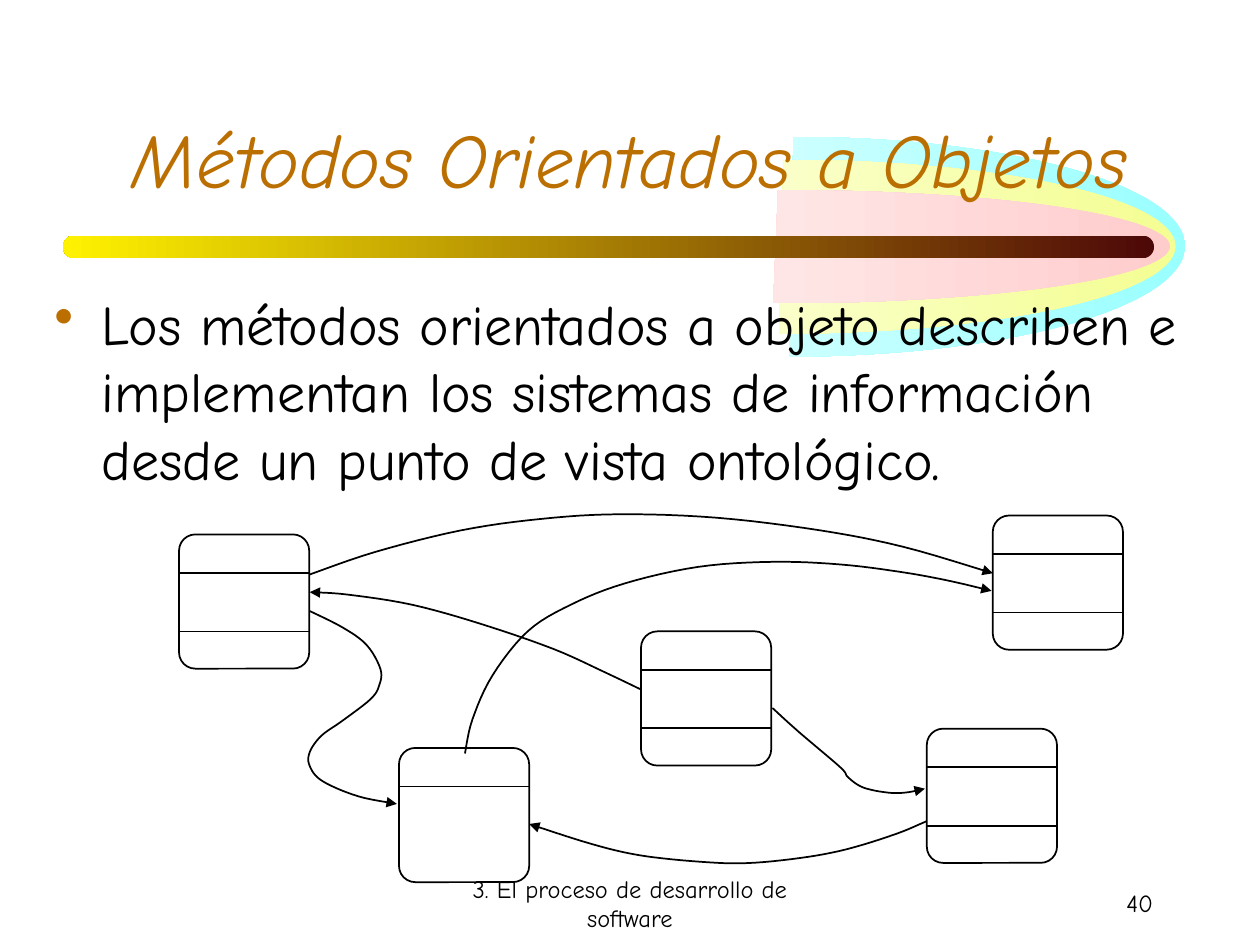
from dataclasses import dataclass
from math import cos, pi, sin

from lxml import etree
from pptx import Presentation
from pptx.dml.color import RGBColor
from pptx.enum.shapes import MSO_CONNECTOR, MSO_SHAPE
from pptx.enum.text import MSO_ANCHOR, PP_ALIGN
from pptx.oxml.ns import qn
from pptx.util import Pt

STRAIGHT = MSO_CONNECTOR.STRAIGHT
ROUNDED = MSO_SHAPE.ROUNDED_RECTANGLE
TOP, MIDDLE, BOTTOM = MSO_ANCHOR.TOP, MSO_ANCHOR.MIDDLE, MSO_ANCHOR.BOTTOM
LEFT, CENTER, RIGHT = PP_ALIGN.LEFT, PP_ALIGN.CENTER, PP_ALIGN.RIGHT

FONT = "Comic Neue"
COLORS = {
    "ink": "000000",
    "accent": "BA6F00",
    "cyan": "99FFFF",
    "cyan_pale": "CCFFFF",
    "yellow": "F4FE92",
    "yellow_pale": "FAFFC9",
    "pink": "FFCCCC",
    "pink_pale": "FFE6E6",
    "bar_dark": "4D0808",
    "bar_light": "FFF200",
}
BOX_WIDTH, BOX_HEIGHT = 74.4, 76.7
DIVIDERS = (22, 55.4)
SWOOSH_Y, SWOOSH_RADIUS = 141, 225.4
CURVE_STEPS = 6
ARC_STEPS = 60


@dataclass(frozen=True)
class Swoosh:
    x: float
    half_height: float
    color: str


@dataclass(frozen=True)
class ClassBox:
    left: float
    top: float
    dividers: tuple = DIVIDERS


@dataclass(frozen=True)
class Label:
    text: str
    left: float
    top: float
    width: float
    height: float
    size: float
    align: PP_ALIGN
    anchor: MSO_ANCHOR
    color: str = "ink"
    italic: bool = False
    bullet: bool = False


SWOOSHES = (
    Swoosh(452, 62.8, "cyan"),
    Swoosh(446.4, 49.7, "yellow"),
    Swoosh(443.2, 32.4, "pink"),
)

CLASS_BOXES = (
    ClassBox(102.3, 305.4),
    ClassBox(366.3, 360.8),
    ClassBox(228, 427.4, DIVIDERS[:1]),
    ClassBox(529.6, 416.4),
    ClassBox(567.3, 294.6),
)

MESSAGES = (
    ((177, 328.3), (214.6, 315.4), (263.5, 303.1), (308.9, 296.6), (354.2, 293.9),
     (409.7, 295.9), (468.7, 303.1), (516.2, 312.5), (567.4, 327.6)),
    ((441.4, 404.6), (456.5, 418.3), (480.2, 438.5), (484.6, 444.2), (493.2, 450),
     (506.9, 452.9), (517.7, 452.9), (528.5, 450.7)),
    ((177, 349.2), (195.8, 358.6), (209.5, 368.6), (217.4, 382.3), (216.7, 391.7),
     (211.7, 399.6), (195.8, 411.8), (183.6, 420.5), (177, 429.8), (177, 437.8),
     (184.3, 446.4), (204.5, 455), (226.8, 459.4)),
    ((365.8, 393.8), (346.3, 384.5), (316.1, 370.8), (274.3, 356.4), (235.4, 345.6),
     (198.7, 339.8), (177, 338.4)),
    ((265.7, 430.6), (270, 411.1), (281.5, 385.9), (301.7, 360.7), (326.2, 345.6),
     (357.1, 333.4), (398.9, 324), (441.4, 321.1), (480.2, 322.6), (514.8, 326.9),
     (542.2, 331.9), (566.6, 337.7)),
    ((529.2, 469.4), (511.9, 476.6), (483.8, 485.3), (457.2, 490.3), (427, 493.2),
     (401, 492.5), (366.5, 488.9), (338.4, 482.4), (302.4, 470.9)),
)

LABELS = (
    Label("Métodos Orientados a Objetos", 54, 30, 612, 90, 44, CENTER, BOTTOM,
          color="accent", italic=True),
    Label("Los métodos orientados a objeto describen e implementan los sistemas de "
          "información desde un punto de vista ontológico.",
          24, 162, 696, 324, 32, LEFT, TOP, bullet=True),
    Label("3. El proceso de desarrollo de software", 246, 498, 228, 36, 14, CENTER, MIDDLE),
    Label("40", 516, 498, 150, 36, 14, RIGHT, MIDDLE),
)


def rgb(name: str) -> RGBColor:
    return RGBColor.from_string(COLORS[name])


def ink_line(line) -> None:
    line.color.rgb = rgb("ink")
    line.width = Pt(1)


def fill_gradient(shape, right: str, left: str) -> None:
    shape.shadow.inherit = False
    shape.line.fill.background()
    shape.fill.gradient()
    shape.fill.gradient_angle = 180
    for stop, name in zip(shape.fill.gradient_stops, (right, left)):
        stop.color.rgb = rgb(name)


def smooth(points: tuple) -> list:
    padded = (points[0], *points, points[-1])
    result = [points[0]]
    for a, b, c, d in zip(padded, padded[1:], padded[2:], padded[3:]):
        for step in range(1, CURVE_STEPS + 1):
            t = step / CURVE_STEPS
            result.append(tuple(
                q + t * (r - p + t * (2 * p - 5 * q + 4 * r - s
                                      + t * (3 * q - p - 3 * r + s))) / 2
                if 0 < t < 1 else r
                for p, q, r, s in zip(a, b, c, d)))
    return result


def draw_outline(shapes, points: list, closed: bool):
    (start_x, start_y), *rest = [(Pt(x), Pt(y)) for x, y in points]
    builder = shapes.build_freeform(start_x, start_y)
    builder.add_line_segments(rest, close=closed)
    return builder.convert_to_shape()


def draw_swoosh(shapes, swoosh: Swoosh) -> None:
    angles = [pi * (step / ARC_STEPS - 0.5) for step in range(ARC_STEPS + 1)]
    arc = [(swoosh.x + SWOOSH_RADIUS * cos(angle) - 1.4 * sin(angle),
            SWOOSH_Y + swoosh.half_height * sin(angle)) for angle in angles]
    outline = draw_outline(shapes, arc, True)
    fill_gradient(outline, swoosh.color, f"{swoosh.color}_pale")


def draw_class_box(shapes, box: ClassBox) -> None:
    frame = shapes.add_shape(ROUNDED, Pt(box.left), Pt(box.top),
                             Pt(BOX_WIDTH), Pt(BOX_HEIGHT))
    frame.adjustments[0] = 0.125
    frame.shadow.inherit = False
    frame.fill.background()
    ink_line(frame.line)
    for offset in box.dividers:
        y = Pt(box.top + offset)
        divider = shapes.add_connector(STRAIGHT, Pt(box.left), y,
                                       Pt(box.left + BOX_WIDTH), y)
        ink_line(divider.line)
        etree.SubElement(divider._element.spPr, qn("a:effectLst"))


def draw_message(shapes, points: tuple) -> None:
    curve = draw_outline(shapes, smooth(points), False)
    curve.shadow.inherit = False
    curve.fill.background()
    ink_line(curve.line)
    outline = curve._element.spPr.find(qn("a:ln"))
    etree.SubElement(outline, qn("a:tailEnd"), type="triangle")


def add_bullet(paragraph) -> None:
    properties = paragraph._p.get_or_add_pPr()
    properties.set("marL", str(Pt(27)))
    properties.set("indent", str(-Pt(27)))
    bullet_color = etree.SubElement(properties, qn("a:buClr"))
    etree.SubElement(bullet_color, qn("a:srgbClr"), val=COLORS["accent"])
    etree.SubElement(properties, qn("a:buChar"), char="•")


def draw_label(shapes, label: Label) -> None:
    frame = shapes.add_textbox(Pt(label.left), Pt(label.top),
                               Pt(label.width), Pt(label.height)).text_frame
    frame.word_wrap = True
    frame.vertical_anchor = label.anchor
    paragraph = frame.paragraphs[0]
    paragraph.alignment = label.align
    if label.bullet:
        add_bullet(paragraph)
    run = paragraph.add_run()
    run.text = label.text
    run.font.name = FONT
    run.font.size = Pt(label.size)
    run.font.italic = label.italic
    run.font.color.rgb = rgb(label.color)


def main() -> None:
    deck = Presentation()
    deck.slide_width, deck.slide_height = Pt(720), Pt(540)
    shapes = deck.slides.add_slide(deck.slide_layouts[6]).shapes
    for swoosh in SWOOSHES:
        draw_swoosh(shapes, swoosh)
    title_bar = shapes.add_shape(ROUNDED, Pt(36), Pt(134.6), Pt(623.5), Pt(13))
    title_bar.adjustments[0] = 0.5
    fill_gradient(title_bar, "bar_dark", "bar_light")
    for box in CLASS_BOXES:
        draw_class_box(shapes, box)
    for points in MESSAGES:
        draw_message(shapes, points)
    for label in LABELS:
        draw_label(shapes, label)
    deck.save("out.pptx")


if __name__ == "__main__":
    main()
